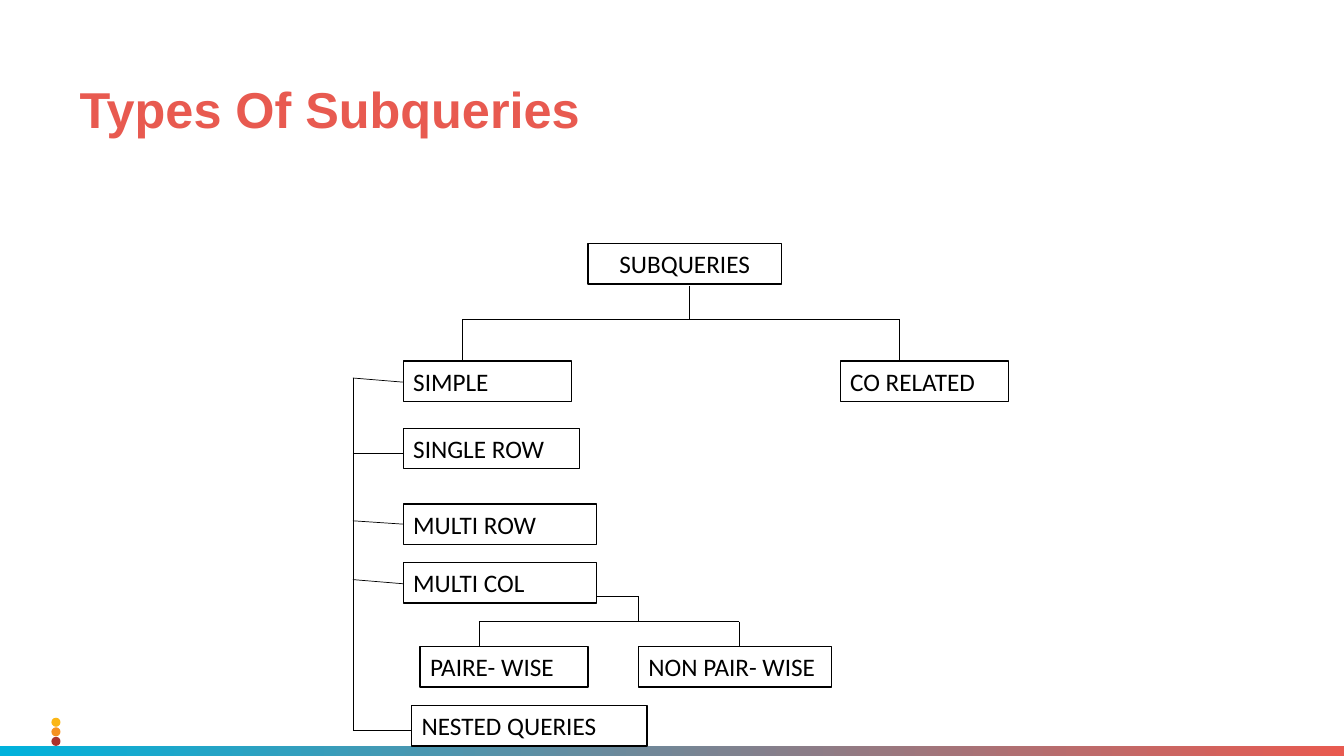
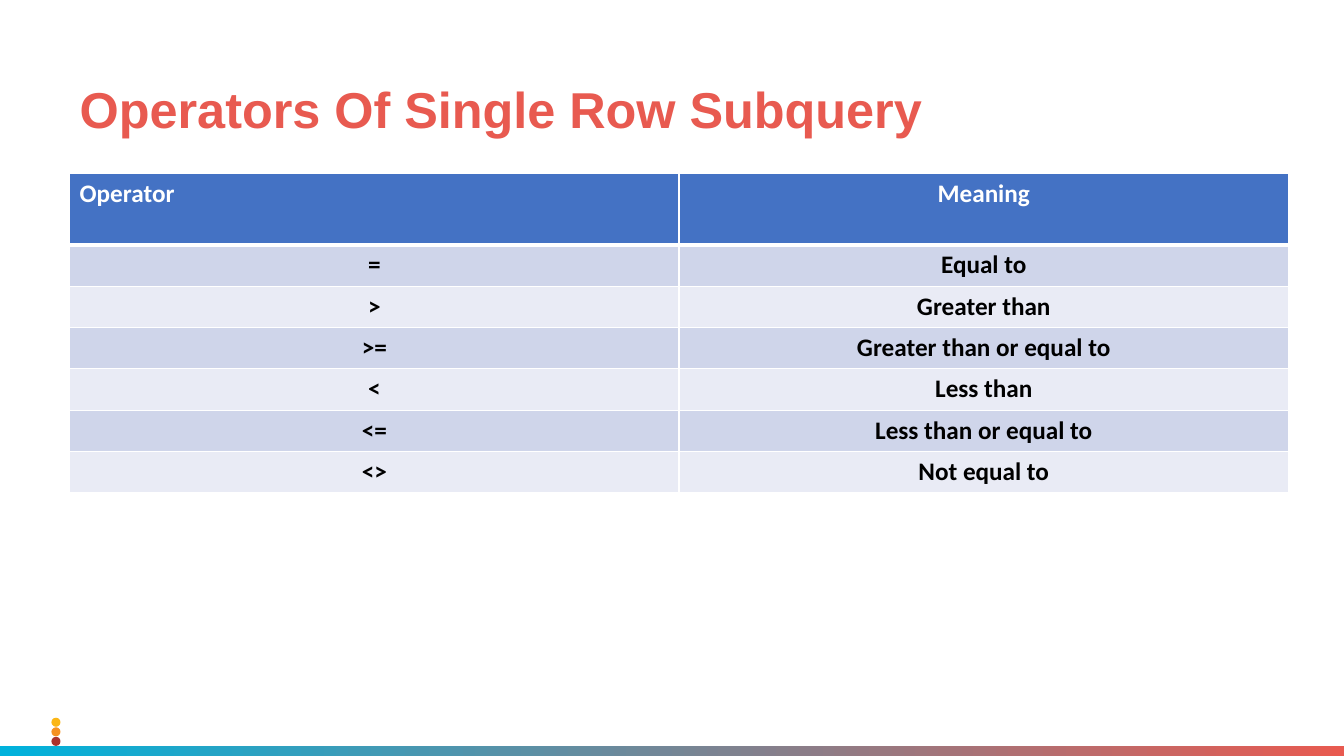
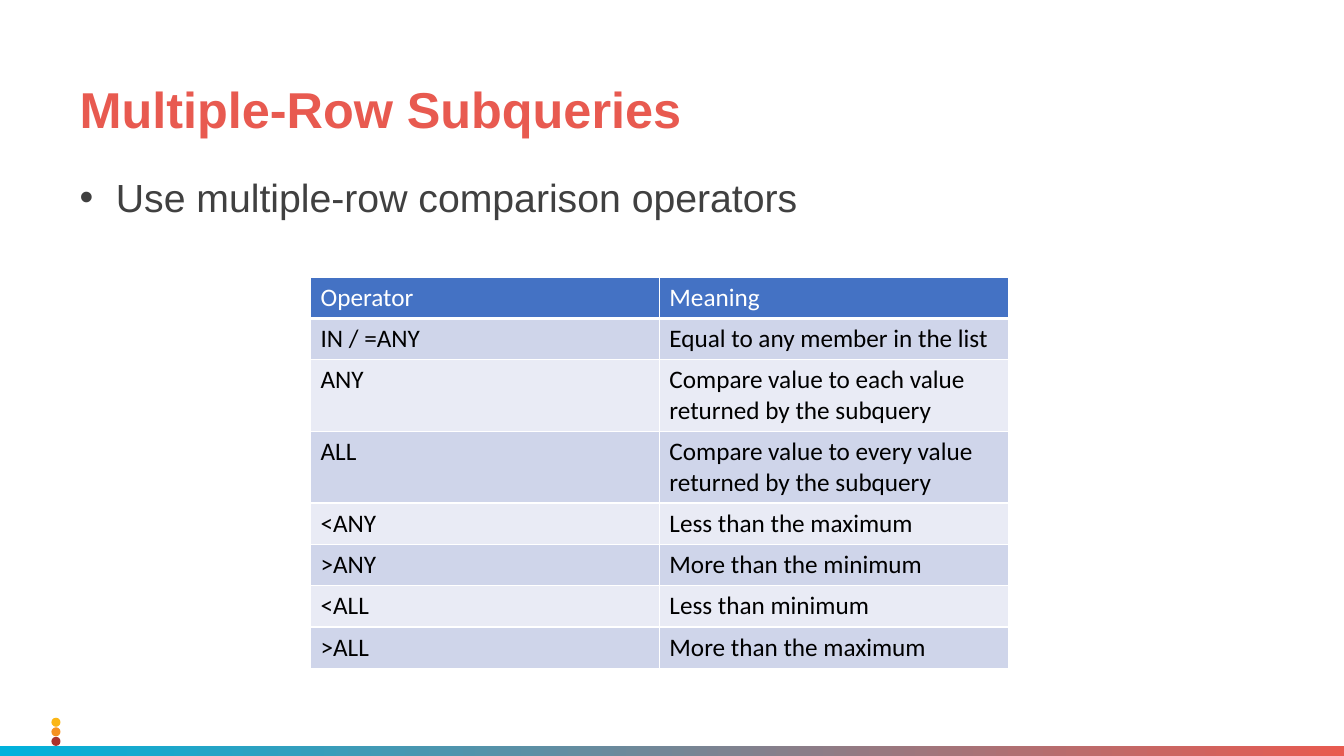
from itertools import pairwise

from lxml import etree
from pptx import Presentation
from pptx.dml.color import RGBColor
from pptx.enum.shapes import MSO_CONNECTOR, MSO_SHAPE
from pptx.enum.text import MSO_ANCHOR, MSO_AUTO_SIZE, PP_ALIGN
from pptx.oxml.ns import qn
from pptx.util import Inches, Pt

RECT = MSO_SHAPE.RECTANGLE
OVAL = MSO_SHAPE.OVAL
STRAIGHT = MSO_CONNECTOR.STRAIGHT
TOP = MSO_ANCHOR.TOP
LEFT, CENTER = PP_ALIGN.LEFT, PP_ALIGN.CENTER
NO_FIT = MSO_AUTO_SIZE.NONE
GROW = MSO_AUTO_SIZE.SHAPE_TO_FIT_TEXT

WHITE = RGBColor(0xFF, 0xFF, 0xFF)
BLACK = RGBColor(0x00, 0x00, 0x00)
CORAL = RGBColor(0xE8, 0x5A, 0x50)
CYAN = RGBColor(0x00, 0xB2, 0xDC)
GREY = RGBColor(0x40, 0x40, 0x40)
HEADER = RGBColor(0x44, 0x72, 0xC4)
BANDS = (RGBColor(0xCF, 0xD5, 0xEA), RGBColor(0xE9, 0xEB, 0xF5))
DOTS = (
    RGBColor(0xFB, 0xB6, 0x15),
    RGBColor(0xF5, 0x91, 0x20),
    RGBColor(0xAC, 0x32, 0x2C),
)

SLIDE_W, SLIDE_H = Inches(13.33), Inches(7.5)
MARGIN, CONTENT_W = Inches(0.69), Inches(12.09)
BODY_TOP = Inches(1.72)
UNIT = Inches(1) / 12
BOX_H = Inches(0.4)
ROW_H = Inches(0.41)
TALL_ROW_H = Inches(0.71)
TITLE_ONLY, TITLE_AND_CONTENT = 5, 1

BOXES = [
    ("SUBQUERIES", 70, 29, 23, CENTER),
    ("SIMPLE", 48, 43, 20, LEFT),
    ("CO RELATED", 100, 43, 20, LEFT),
    ("SINGLE ROW", 48, 51, 21, LEFT),
    ("MULTI ROW", 48, 60, 23, LEFT),
    ("MULTI COL", 48, 67, 23, LEFT),
    ("PAIRE- WISE", 50, 77, 20, LEFT),
    ("NON PAIR- WISE", 76, 77, 23, LEFT),
    ("NESTED QUERIES", 49, 84, 28, LEFT),
]
TRUNK_X = 42
TRUNK_STOPS = (45, 54, 69, 87)
BRANCHES = [
    (45, 48, 45.5),
    (54, 48, 54),
    (62, 48, 62.4),
    (69, 48, 69.5),
    (87, 49, 87),
]
FORKS = [
    (38, 55, 107, 43),
    (74, 57, 88, 77),
]
STEMS = [
    (82, 34, 82, 38),
    (71, 71, 76, 71),
    (76, 71, 76, 74),
]

SINGLE_ROW = [
    ("Operator", "Meaning"),
    ("=", "Equal to"),
    (">", "Greater than"),
    (">=", "Greater than or equal to"),
    ("<", "Less than"),
    ("<=", "Less than or equal to"),
    ("<>", "Not equal to"),
]
MULTIPLE_ROW = [
    ("Operator", "Meaning"),
    ("IN / =ANY", "Equal to any member in the list"),
    ("ANY", "Compare value to each value returned by the subquery"),
    ("ALL", "Compare value to every value returned by the subquery"),
    ("<ANY", "Less than the maximum"),
    (">ANY", "More than the minimum"),
    ("<ALL", "Less than minimum"),
    (">ALL", "More than the maximum"),
]


def units(*values):
    return [round(v * UNIT) for v in values]


def write(tf, text, size, color, font, bold=False, align=LEFT):
    p = tf.paragraphs[0]
    p.text = text
    p.alignment = align
    f = p.runs[0].font
    f.name, f.size, f.bold = font, Pt(size), bold
    f.color.rgb = color
    return p


def place(sp, left, top, width, height):
    sp.left, sp.top, sp.width, sp.height = left, top, width, height


def add_slide(prs, layout, title):
    s = prs.slides.add_slide(prs.slide_layouts[layout])
    sp = s.shapes.title
    place(sp, MARGIN, Inches(0.79), CONTENT_W, Inches(0.74))
    tf = sp.text_frame
    tf.vertical_anchor = TOP
    tf.auto_size = NO_FIT
    write(tf, title, 36, CORAL, "Arial", True).line_spacing = 0.9
    return s


def add_plain(shapes, kind, *box):
    sp = shapes.add_shape(kind, *box)
    sp.shadow.inherit = False
    sp.line.fill.background()
    return sp


def add_master_band(prs, s):
    band = add_plain(s.shapes, RECT, 0, Inches(7.4), SLIDE_W, Inches(0.1))
    band.fill.gradient()
    band.fill.gradient_angle = 0
    for stop, color in zip(band.fill.gradient_stops, (CYAN, CORAL)):
        stop.color.rgb = color
    dots = s.shapes.add_group_shape()
    size = Inches(0.09)
    for i, color in enumerate(DOTS):
        top = Inches(7.12) + i * Inches(0.095)
        dot = add_plain(dots.shapes, OVAL, Inches(0.51), top, size, size)
        dot.fill.solid()
        dot.fill.fore_color.rgb = color
    for sp in (band, dots):
        prs.slide_master.shapes.element.append(sp.element)


def add_box(s, text, col, row, width, align):
    left, top, width = units(col, row, width)
    sp = add_plain(s.shapes, RECT, left, top, width, BOX_H)
    sp.fill.solid()
    sp.fill.fore_color.rgb = WHITE
    sp.line.color.rgb = BLACK
    sp.line.width = Pt(1)
    tf = sp.text_frame
    tf.word_wrap = True
    tf.auto_size = GROW
    tf.vertical_anchor = TOP
    write(tf, text, 18, BLACK, "Calibri", align=align)


def add_line(s, *ends):
    line = s.shapes.add_connector(STRAIGHT, *units(*ends))
    line.line.color.rgb = BLACK
    line.line.width = Pt(0.5)
    etree.SubElement(line.element.spPr, qn("a:effectLst"))


def add_fork(s, y, left, right, bottom):
    add_line(s, left, y, right, y)
    for x in (left, right):
        add_line(s, x, y, x, bottom)


def set_borders(cell, **widths):
    tc_pr = cell._tc.get_or_add_tcPr()
    for side in "LRTB":
        width = Pt(widths.get(side, 1))
        ln = etree.SubElement(tc_pr, qn(f"a:ln{side}"), w=str(width))
        fill = etree.SubElement(ln, qn("a:solidFill"))
        etree.SubElement(fill, qn("a:srgbClr"), val=str(WHITE))


def add_operator_table(s, rows, left, top, width, tall_rows, bold, align_of):
    height = ROW_H * len(rows)
    frame = s.shapes.add_table(len(rows), 2, left, top, width, height)
    table = frame.table
    for column in table.columns:
        column.width = width // 2
    for i, texts in enumerate(rows):
        table.rows[i].height = TALL_ROW_H if i in tall_rows else ROW_H
        for j, text in enumerate(texts):
            cell = table.cell(i, j)
            set_borders(cell, T=3 if i == 1 else 1, B=3 if i == 0 else 1)
            cell.fill.solid()
            cell.fill.fore_color.rgb = BANDS[(i - 1) % 2] if i else HEADER
            color = BLACK if i else WHITE
            write(cell.text_frame, text, 18, color, "Calibri", bold, align_of(i, j))


def build_types(prs):
    s = add_slide(prs, TITLE_ONLY, "Types Of Subqueries")
    for box in BOXES:
        add_box(s, *box)
    for start, end in pairwise(TRUNK_STOPS):
        add_line(s, TRUNK_X, start, TRUNK_X, end)
    for y, end_x, end_y in BRANCHES:
        add_line(s, TRUNK_X, y, end_x, end_y)
    for fork in FORKS:
        add_fork(s, *fork)
    for stem in STEMS:
        add_line(s, *stem)
    add_master_band(prs, s)


def build_single_row(prs):
    s = add_slide(prs, TITLE_ONLY, "Operators Of Single Row Subquery")
    add_operator_table(
        s, SINGLE_ROW, MARGIN, BODY_TOP, CONTENT_W, (0,), True,
        lambda i, j: CENTER if i or j else LEFT,
    )


def build_multiple_row(prs):
    s = add_slide(prs, TITLE_AND_CONTENT, "Multiple-Row Subqueries")
    body = s.placeholders[1]
    place(body, MARGIN, BODY_TOP, CONTENT_W, Inches(4.76))
    tf = body.text_frame
    tf.auto_size = NO_FIT
    text = "Use multiple-row comparison operators"
    p = write(tf, text, 28, GREY, "Arial")
    p.line_spacing = 0.9
    p.space_before = Pt(10)
    p_pr = p._p.get_or_add_pPr()
    p_pr.set("marL", str(Inches(0.36)))
    p_pr.set("indent", str(-Inches(0.36)))
    etree.SubElement(p_pr, qn("a:buChar"), char="•")
    add_operator_table(
        s, MULTIPLE_ROW, Inches(3.08), Inches(2.75), Inches(6.92), (2, 3), False,
        lambda i, j: LEFT,
    )


def main():
    prs = Presentation()
    prs.slide_width, prs.slide_height = SLIDE_W, SLIDE_H
    build_types(prs)
    build_single_row(prs)
    build_multiple_row(prs)
    prs.save("out.pptx")


if __name__ == "__main__":
    main()
